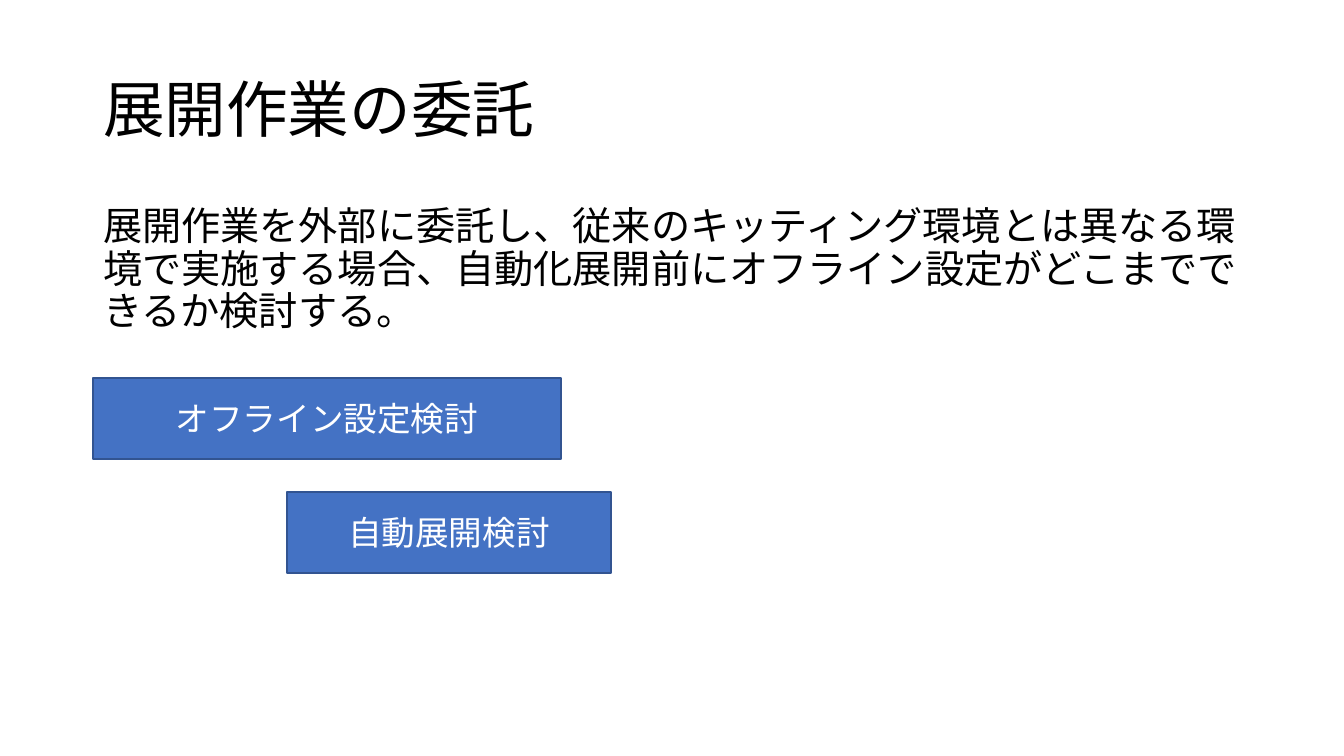
from dataclasses import dataclass

import pptx
import pptx.dml.color
import pptx.enum.lang
import pptx.enum.shapes
import pptx.enum.text
import pptx.oxml
import pptx.oxml.ns
import pptx.shapes.base
import pptx.text.text
import pptx.util

SCALE = 914400 / 100.8  # EMU in one pixel
FONT = "Noto Sans CJK JP"
LEFT, WIDE = 93, 1159
ALIGN = pptx.enum.text.PP_ALIGN
ANCHOR = pptx.enum.text.MSO_ANCHOR


@dataclass
class Step:
    text: str
    left: int
    top: int
    width: int
    height: int = 81


STEPS = [
    Step("自動展開検討", 287, 492, 324),
    Step("オフライン設定検討", LEFT, 378, 468),
]


def px(size: int) -> pptx.util.Emu:
    return pptx.util.Emu(round(size * SCALE))


def color(code: str) -> pptx.dml.color.RGBColor:
    return pptx.dml.color.RGBColor.from_string(code)


def place(shape: pptx.shapes.base.BaseShape, left: int, top: int,
          width: int, height: int) -> None:
    shape.left, shape.top = px(left), px(top)
    shape.width, shape.height = px(width), px(height)


def write(frame: pptx.text.text.TextFrame, text: str, size: int, ink: str,
          align: ALIGN, anchor: ANCHOR) -> pptx.text.text._Paragraph:
    frame.word_wrap = True
    frame.auto_size = pptx.enum.text.MSO_AUTO_SIZE.NONE
    frame.vertical_anchor = anchor
    para = frame.paragraphs[0]
    para.alignment = align
    run = para.add_run()
    run.text = text
    font = run.font
    font.name, font.size = FONT, pptx.util.Pt(size)
    font.color.rgb = color(ink)
    font.language_id = pptx.enum.lang.MSO_LANGUAGE_ID.JAPANESE
    # East Asian text takes its own typeface
    face = pptx.oxml.parse_xml(
        f'<a:ea {pptx.oxml.ns.nsdecls("a")} typeface="{FONT}"/>')
    run.font._element.find(pptx.oxml.ns.qn("a:latin")).addnext(face)
    return para


def draw(slide: pptx.slide.Slide, step: Step) -> None:
    kind = pptx.enum.shapes.MSO_SHAPE.RECTANGLE
    box = slide.shapes.add_shape(kind, 0, 0, 0, 0)
    place(box, step.left, step.top, step.width, step.height)
    box.shadow.inherit = False
    box.fill.solid()
    box.fill.fore_color.rgb = color("4472C4")
    box.line.color.rgb = color("325491")
    box.line.width = pptx.util.Pt(1)
    write(box.text_frame, step.text, 24, "FFFFFF", ALIGN.CENTER, ANCHOR.MIDDLE)


deck = pptx.Presentation()
deck.slide_width, deck.slide_height = px(1344), px(756)
slide = deck.slides.add_slide(deck.slide_layouts[1])

# Title
title = slide.shapes.title
place(title, LEFT, 40, WIDE, 146)
head = write(title.text_frame, "展開作業の委託", 44, "000000",
             ALIGN.LEFT, ANCHOR.MIDDLE)
head.line_spacing = 0.9

# Body, without a bullet
body = slide.placeholders[1]
place(body, LEFT, 202, WIDE, 480)
para = write(
    body.text_frame,
    "展開作業を外部に委託し、従来のキッティング環境とは異なる環境で実施する場合、"
    "自動化展開前にオフライン設定がどこまでできるか検討する。",
    28, "000000", ALIGN.LEFT, ANCHOR.TOP)
para.line_spacing = 0.9
para.space_before = pptx.util.Pt(10)
props = para._p.get_or_add_pPr()
props.set("marL", "0")
props.set("indent", "0")
props.append(pptx.oxml.parse_xml(f'<a:buNone {pptx.oxml.ns.nsdecls("a")}/>'))

# Steps
for step in STEPS:
    draw(slide, step)

deck.save("out.pptx")
